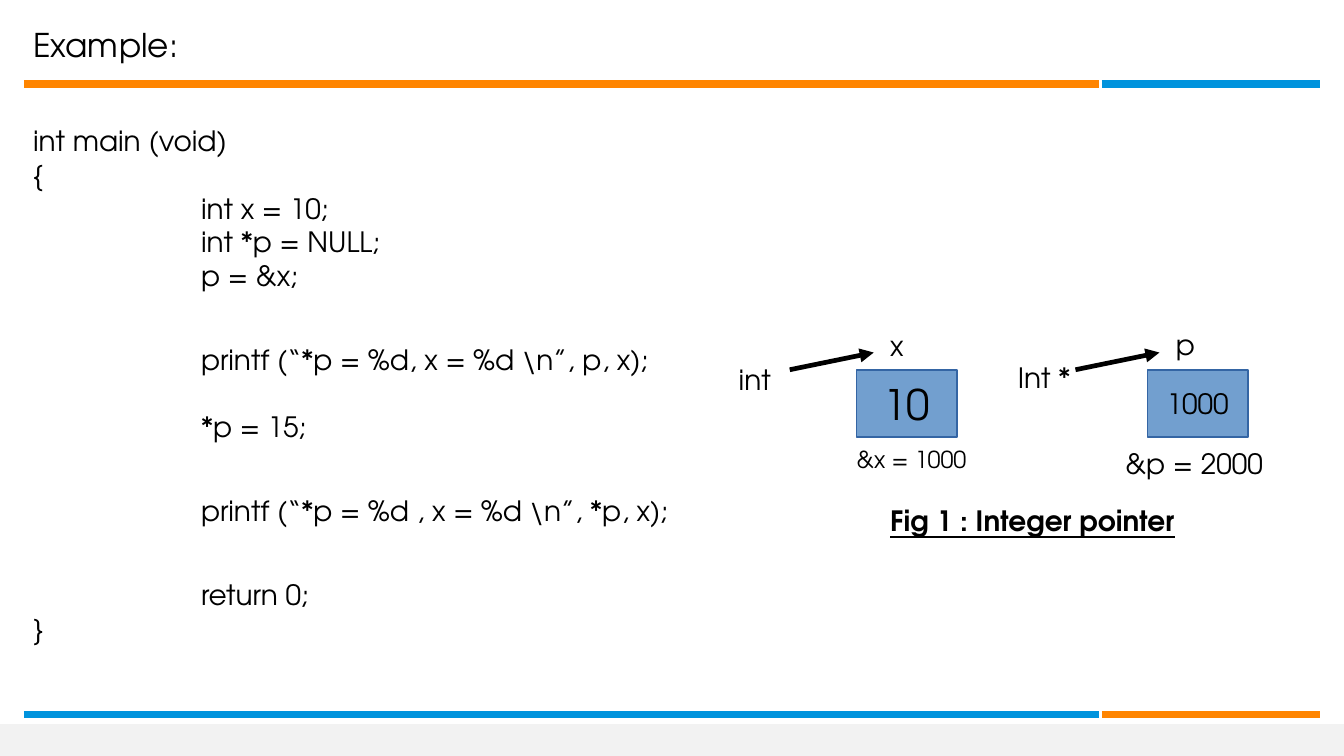
from lxml import etree
from pptx import Presentation, util as u
from pptx.dml.color import RGBColor
from pptx.enum import shapes, text
from pptx.oxml import ns

FONT = "TeX Gyre Adventor"
ORANGE, BLUE, BLACK = "FF8500", "0093DD", "000000"


def color(value):
    return RGBColor.from_string(value)


def style(paragraph, **formats):
    """Apply font attributes, over the slide's defaults, to a paragraph."""
    values = {"name": FONT, "size": u.Pt(12)} | formats
    for name, value in values.items():
        setattr(paragraph.font, name, value)
    paragraph.font.color.rgb = color(BLACK)


presentation = Presentation()
presentation.slide_width, presentation.slide_height = u.Cm(20.32), u.Cm(11.43)
slide = presentation.slides.add_slide(presentation.slide_layouts[6])

footer = slide.shapes.add_shape(
    shapes.MSO_SHAPE.RECTANGLE, 0, u.Cm(10.95), u.Cm(20.32), u.Cm(0.48))
footer.shadow.inherit = False
footer.fill.solid()
footer.fill.fore_color.rgb = color("F2F2F2")
footer.line.fill.background()

# Two-coloured rules and the pointing arrows: ends, colour, width, arrowhead
lines = []
for y, long_color, short_color in [(1.27, ORANGE, BLUE), (10.8, BLUE, ORANGE)]:
    lines.append((0.36, y, 16.61, y, long_color, 3, False))
    lines.append((16.66, y, 19.96, y, short_color, 3, False))
for x in (11.94, 16.26):
    lines.append((x, 5.59, x + 1.27, 5.33, BLACK, 0, True))

for x1, y1, x2, y2, line_color, width, arrow in lines:
    connector = slide.shapes.add_connector(
        shapes.MSO_CONNECTOR.STRAIGHT, u.Cm(x1), u.Cm(y1), u.Cm(x2), u.Cm(y2))
    connector.line.color.rgb = color(line_color)
    connector.line.width = u.Pt(width)
    if arrow:
        outline = connector.line._get_or_add_ln()
        etree.SubElement(outline, ns.qn("a:tailEnd"), type="triangle")
    etree.SubElement(connector._element.spPr, ns.qn("a:effectLst"))

# Memory cells
for x, value, size in [(12.95, "10", 18), (17.35, "1000", 12)]:
    cell = slide.shapes.add_shape(
        shapes.MSO_SHAPE.RECTANGLE, u.Cm(x), u.Cm(5.59), u.Cm(1.52), u.Cm(1.02))
    cell.shadow.inherit = False
    cell.fill.solid()
    cell.fill.fore_color.rgb = color("729FCF")
    cell.line.color.rgb = color("3465A4")
    cell.line.width = u.Pt(0)
    cell.text_frame.word_wrap = False
    cell.text_frame.vertical_anchor = text.MSO_ANCHOR.MIDDLE
    paragraph = cell.text_frame.paragraphs[0]
    paragraph.text = value
    paragraph.alignment = text.PP_ALIGN.CENTER
    style(paragraph, size=u.Pt(size))

# Title, labels and caption: left, top, width, height, wording, formats
labels = [
    (0.25, 0.25, 18.54, 0.84, "Example:", {"size": u.Pt(14)}),
    (12.7, 6.6, 2.79, 0.89, "&x = 1000", {"size": u.Pt(10)}),
    (13.21, 4.85, 1.52, 0.74, "x", {}),
    (17.53, 4.83, 1.02, 0.74, "p", {}),
    (16.76, 6.63, 3.3, 0.74, "&p = 2000", {}),
    (10.92, 5.36, 1.27, 0.74, "int", {}),
    (15.14, 5.33, 1.88, 1.19, "Int *", {}),
    (13.21, 7.49, 6.35, 0.74, "Fig 1 : Integer pointer",
     {"bold": True, "underline": True}),
]
for x, y, width, height, wording, formats in labels:
    label = slide.shapes.add_textbox(u.Cm(x), u.Cm(y), u.Cm(width), u.Cm(height))
    label.text_frame.word_wrap = True
    paragraph = label.text_frame.paragraphs[0]
    paragraph.text = wording
    style(paragraph, **formats)

# Program listing: indented or not, space before in points, wording
code_lines = [
    (False, 0, "int main (void)"),
    (False, 0, "{"),
    (True, 0, "int x = 10;"),
    (True, 0, "int *p = NULL;"),
    (True, 0, "p = &x;"),
    (True, 21.6, "printf (“*p = %d, x = %d \\n”, p, x);"),
    (True, 14.4, "*p = 15;"),
    (True, 21.6, "printf (“*p = %d , x = %d \\n”, *p, x);"),
    (True, 21.6, "return 0;"),
    (False, 0, "}"),
]
code = slide.shapes.add_textbox(u.Cm(0.25), u.Cm(1.75), u.Cm(11.43), u.Cm(6.12))
code.text_frame.word_wrap = True
for number, (indented, space, wording) in enumerate(code_lines):
    paragraph = (code.text_frame.add_paragraph() if number
                 else code.text_frame.paragraphs[0])
    paragraph.text = wording
    paragraph.space_before = u.Pt(space)
    style(paragraph)
    if indented:
        paragraph._p.get_or_add_pPr().set("marL", str(u.Cm(2.54)))

presentation.save("out.pptx")
